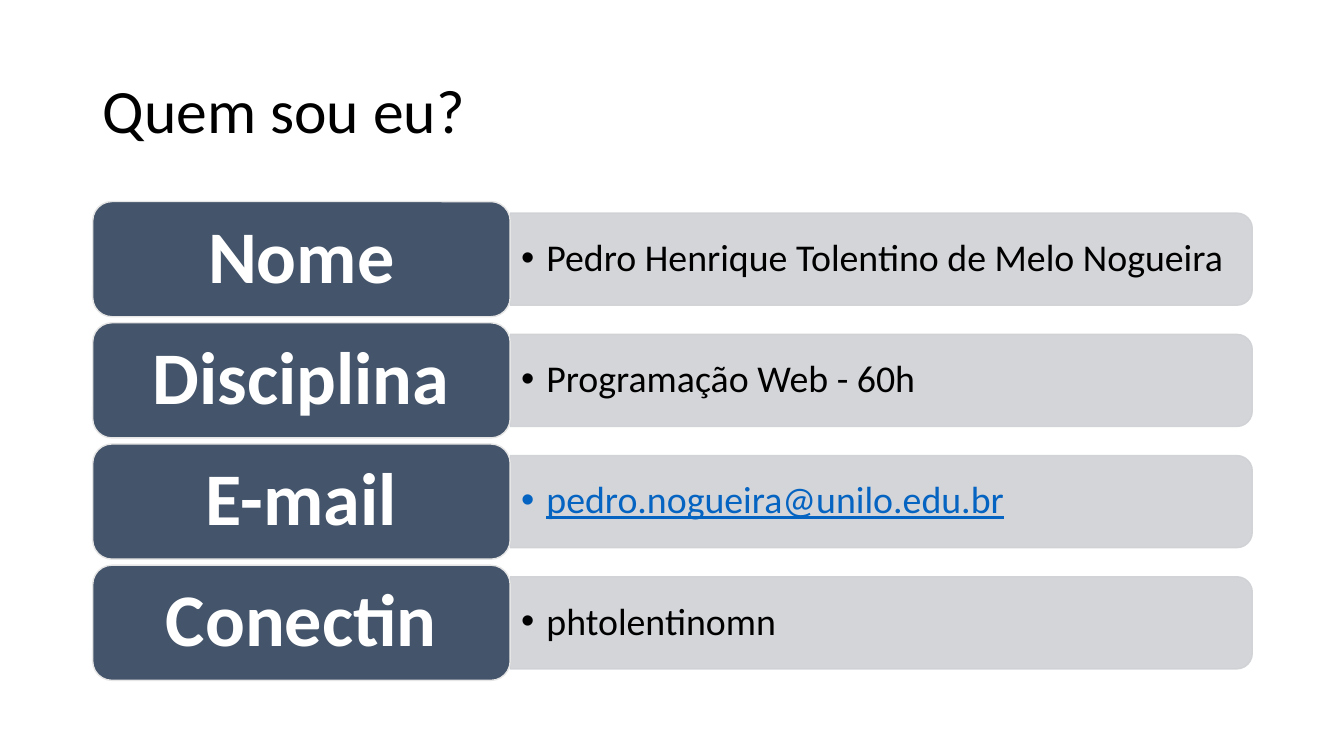
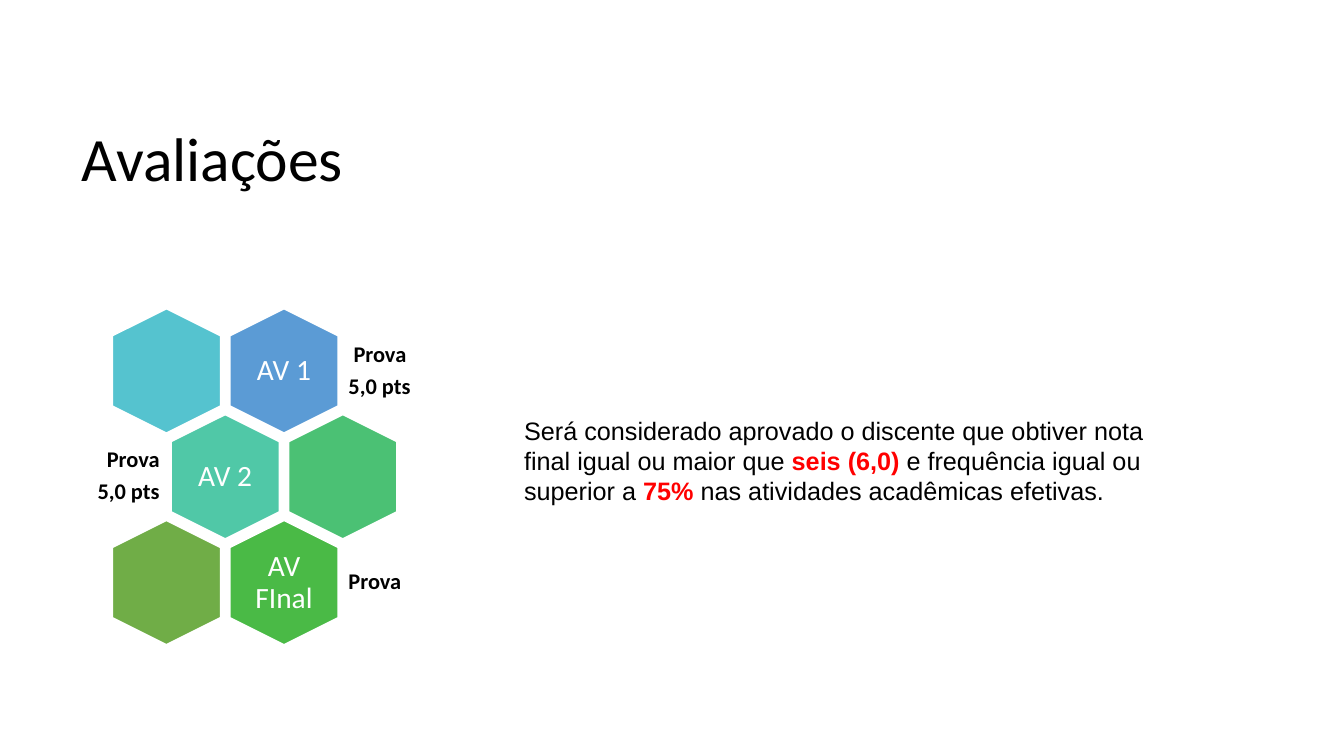
from collections import namedtuple

from lxml.etree import SubElement
from pptx import Presentation
from pptx.dml.color import RGBColor
from pptx.enum.shapes import MSO_SHAPE as Shape
from pptx.enum.text import MSO_ANCHOR as Anchor, PP_ALIGN as Align
from pptx.oxml.ns import qn
from pptx.util import Inches, Pt

SLIDE_WIDTH, SLIDE_HEIGHT = 13.33, 7.5
FONT, BODY_FONT = "Calibri", "Arial"
BLACK, WHITE, RED, LINK = "000000", "FFFFFF", "FF0000", "0563C1"
NAVY, LIGHT, BAR = "44546A", "E7E6E6", "CFD1D4"

Box = namedtuple("Box", "left top width height")


def color(hex_string):
    return RGBColor.from_string(hex_string)


def centered(x, y, width, height):
    return Box(x - width / 2, y - height / 2, width, height)


def style_run(run, size, hex_color, bold=False, font=FONT):
    run.font.name, run.font.size, run.font.bold = font, Pt(size), bold
    run.font.color.rgb = color(hex_color)


def write(shape, text, size, hex_color, bold=False, align=Align.LEFT, insets=(0.1, 0.05)):
    """Write lines of text, vertically centred, in one style."""
    frame = shape.text_frame
    frame.word_wrap = True
    frame.vertical_anchor = Anchor.MIDDLE
    frame.margin_left = frame.margin_right = Inches(insets[0])
    frame.margin_top = frame.margin_bottom = Inches(insets[1])
    frame.text = text
    for paragraph in frame.paragraphs:
        paragraph.alignment = align
        paragraph.line_spacing = 0.9
        for run in paragraph.runs:
            style_run(run, size, hex_color, bold)
    for paragraph in frame.paragraphs[:-1]:
        paragraph.space_after = Pt(size * 0.35)
    return frame


def add_text(slide, box, *args, **style):
    return write(slide.shapes.add_textbox(*map(Inches, box)), *args, **style)


def add_shape(slide, kind, box, fill, line, line_width=1):
    shape = slide.shapes.add_shape(kind, *map(Inches, box))
    shape.shadow.inherit = False
    shape.fill.solid()
    shape.fill.fore_color.rgb = color(fill)
    shape.line.color.rgb = color(line)
    shape.line.width = Pt(line_width)
    return shape


def add_turned(slide, kind, box, *style):
    """Add a shape turned a quarter so that it fills the box as seen."""
    x, y = box.left + box.width / 2, box.top + box.height / 2
    shape = add_shape(slide, kind, centered(x, y, box.height, box.width), *style)
    shape.rotation = 90
    return shape


def set_opacity(shape, percent):
    for rgb in shape._element.spPr.iter(qn("a:srgbClr")):
        SubElement(rgb, qn("a:alpha")).set("val", str(percent * 1000))


def set_bullet(paragraph, indent):
    properties = paragraph._p.get_or_add_pPr()
    properties.set("marL", str(Inches(indent)))
    properties.set("indent", str(-Inches(indent)))
    SubElement(properties, qn("a:buFont")).set("typeface", "Arial")
    SubElement(properties, qn("a:buChar")).set("char", "•")


def add_titled_slide(presentation, text, box):
    slide = presentation.slides.add_slide(presentation.slide_layouts[5])
    title = slide.shapes.title
    title.left, title.top, title.width, title.height = map(Inches, box)
    write(title, text, 44, BLACK)
    return slide


# Slide 1: label with a bar of detail
def add_profile_row(slide, box, label, detail, is_link):
    label_width = box.width * 0.36
    bar_left, bar_width = box.left + label_width, box.width - label_width
    bar_box = Box(bar_left, box.top + box.height * 0.1, bar_width, box.height * 0.8)
    bar = add_turned(slide, Shape.ROUND_2_SAME_RECTANGLE, bar_box, BAR, BAR)
    set_opacity(bar, 90)

    frame = add_text(slide, bar_box, detail, 27, LINK if is_link else BLACK,
                     insets=(0.11, 0.06))
    set_bullet(frame.paragraphs[0], 0.25)
    frame.paragraphs[0].runs[0].font.underline = is_link

    label_box = box._replace(width=label_width)
    shape = add_shape(slide, Shape.ROUNDED_RECTANGLE, label_box, NAVY, LIGHT)
    write(shape, label, 53, WHITE, True, Align.CENTER, (0.22, 0.11))


def build_profile(presentation):
    slide = add_titled_slide(presentation, "Quem sou eu?", Box(0.92, 0.4, 11.5, 1.45))
    rows = [
        ("Nome", "Pedro Henrique Tolentino de Melo Nogueira", False),
        ("Disciplina", "Programação Web - 60h", False),
        ("E-mail", "pedro.nogueira@unilo.edu.br", True),
        ("Conectin", "phtolentinomn", False),
    ]
    area = Box(0.92, 2, 11.5, 4.81)
    pitch = area.height / len(rows)
    for index, row in enumerate(rows):
        box = Box(area.left, area.top + index * pitch, area.width, pitch * 0.95)
        add_profile_row(slide, box, *row)


# Slide 2: honeycomb of assessments
def add_cell(slide, box, fill, label):
    add_turned(slide, Shape.HEXAGON, box, fill, WHITE, 1.5)
    if label:
        x, y = box.left + box.width / 2, box.top + box.height / 2
        add_text(slide, centered(x, y, 0.74, 0.85), label, 21, WHITE,
                 align=Align.CENTER, insets=(0.04, 0.09))


def add_cell_note(slide, box, text, align):
    frame = add_text(slide, box, text, 16, BLACK, True, align, (0.07, 0.07))
    if len(frame.paragraphs) > 1:
        frame.paragraphs[0]._p.get_or_add_pPr().set("marL", str(Inches(0.05)))


def add_honeycomb(slide, area):
    # Each row: two cells as (fill, label), then the note beside it
    rows = [
        (("55C3CF", ""), ("5B9BD5", "AV 1"), "Prova\n5,0 pts"),
        (("50C8A7", "AV 2"), ("4BC174", ""), "Prova\n5,0 pts"),
        (("70AD47", ""), ("4ABA46", "AV FInal"), "Prova"),
    ]
    cell_width, cell_height = 1.08, 1.24
    column_pitch = (area.width - cell_width) / 1.5
    row_pitch = (area.height - cell_height) / (len(rows) - 1)
    note_width, note_height = 1.36, 0.74
    for index, (*cells, note) in enumerate(rows):
        shifted = index % 2 == 1
        left = area.left + shifted * column_pitch / 2
        top = area.top + index * row_pitch
        for column, cell in enumerate(cells):
            box = Box(left + column * column_pitch, top, cell_width, cell_height)
            add_cell(slide, box, *cell)
        right = left + column_pitch + cell_width
        note_left = left - note_width - 0.04 if shifted else right + 0.03
        note_top = top + (cell_height - note_height) / 2
        add_cell_note(slide, Box(note_left, note_top, note_width, note_height), note,
                      Align.RIGHT if shifted else Align.LEFT)


def add_rule_text(slide, box):
    frame = slide.shapes.add_textbox(*map(Inches, box)).text_frame
    frame.word_wrap = True
    parts = [
        ("Será considerado aprovado o discente que obtiver nota final igual ou maior que ", False),
        ("seis (6,0) ", True),
        ("e frequência igual ou superior a ", False),
        ("75% ", True),
        ("nas atividades acadêmicas efetivas.", False),
    ]
    for text, strong in parts:
        run = frame.paragraphs[0].add_run()
        run.text = text
        style_run(run, 18, RED if strong else BLACK, strong, BODY_FONT)


def build_assessments(presentation):
    slide = add_titled_slide(presentation, "Avaliações", Box(0.71, 0.69, 3.99, 1.83))
    add_honeycomb(slide, Box(1.11, 3.06, 2.83, 3.34))
    add_rule_text(slide, Box(5.1, 4.07, 6.67, 1.31))


def main():
    presentation = Presentation()
    presentation.slide_width = Inches(SLIDE_WIDTH)
    presentation.slide_height = Inches(SLIDE_HEIGHT)
    build_profile(presentation)
    build_assessments(presentation)
    presentation.save("out.pptx")


if __name__ == "__main__":
    main()
